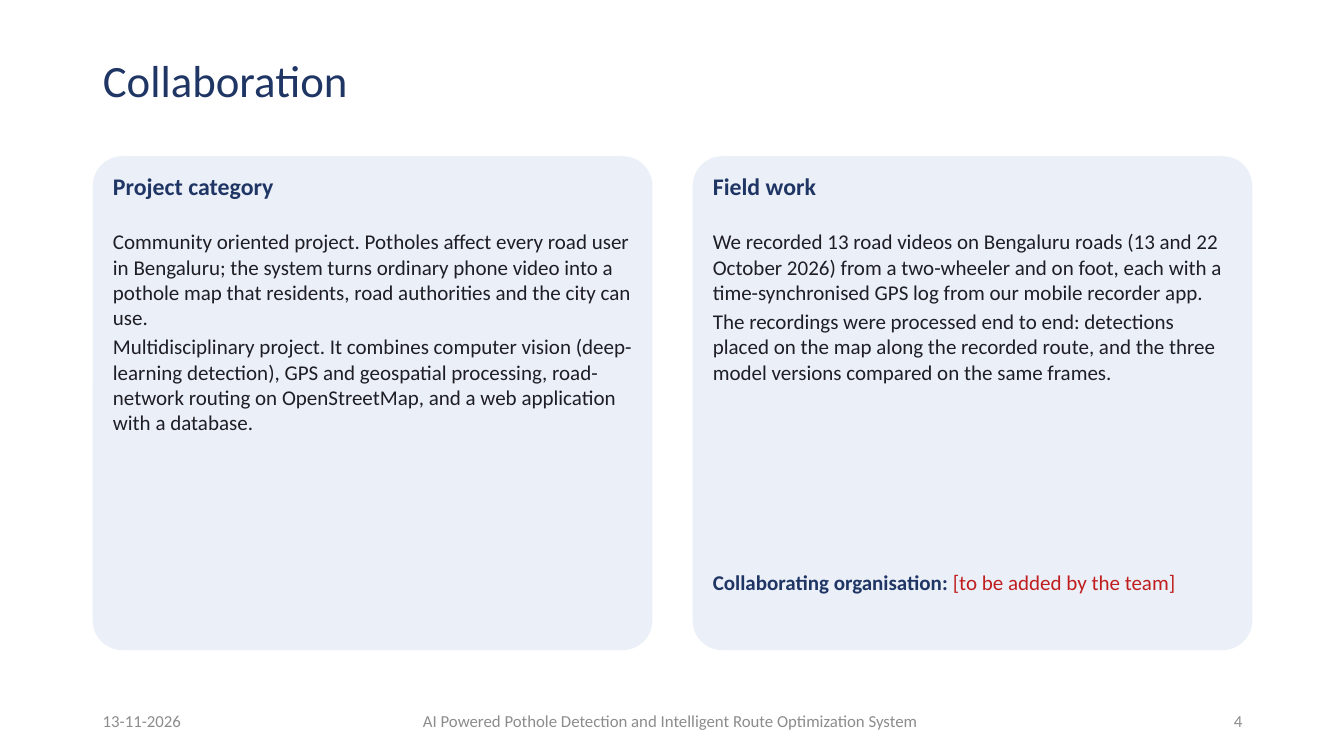
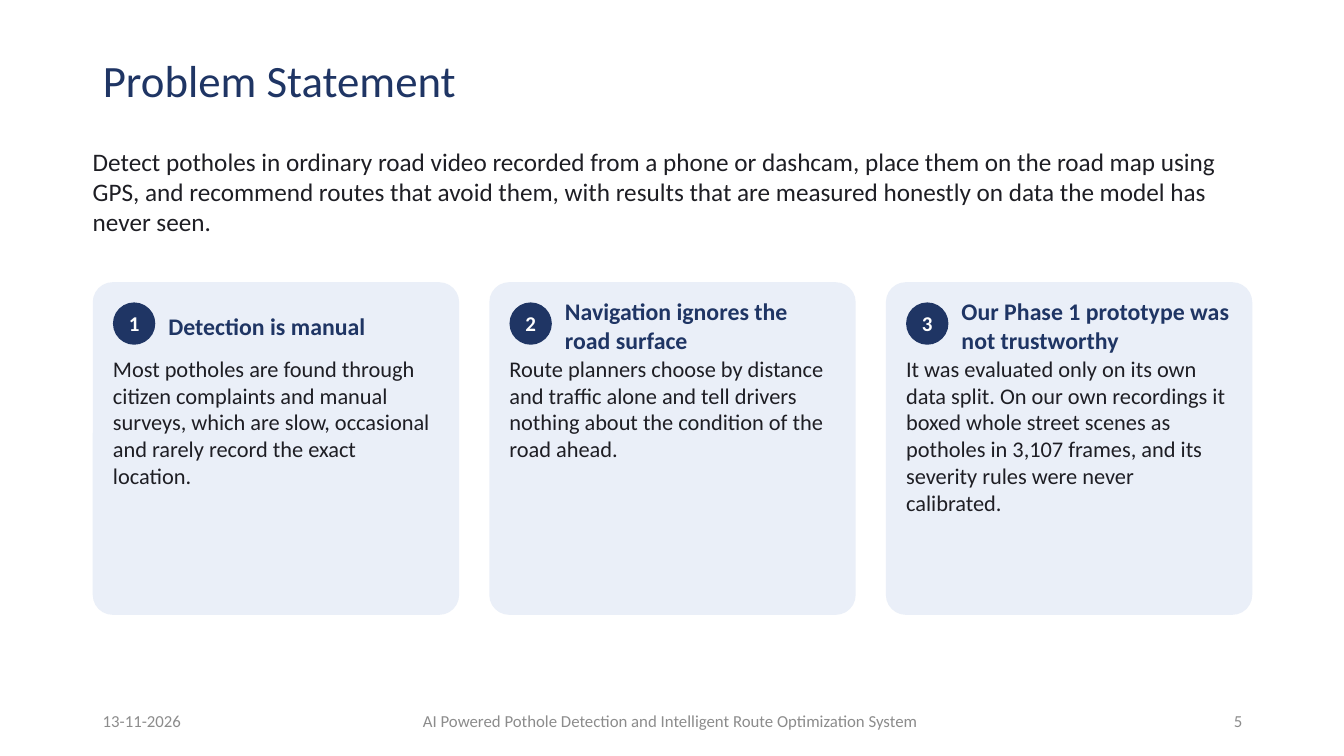
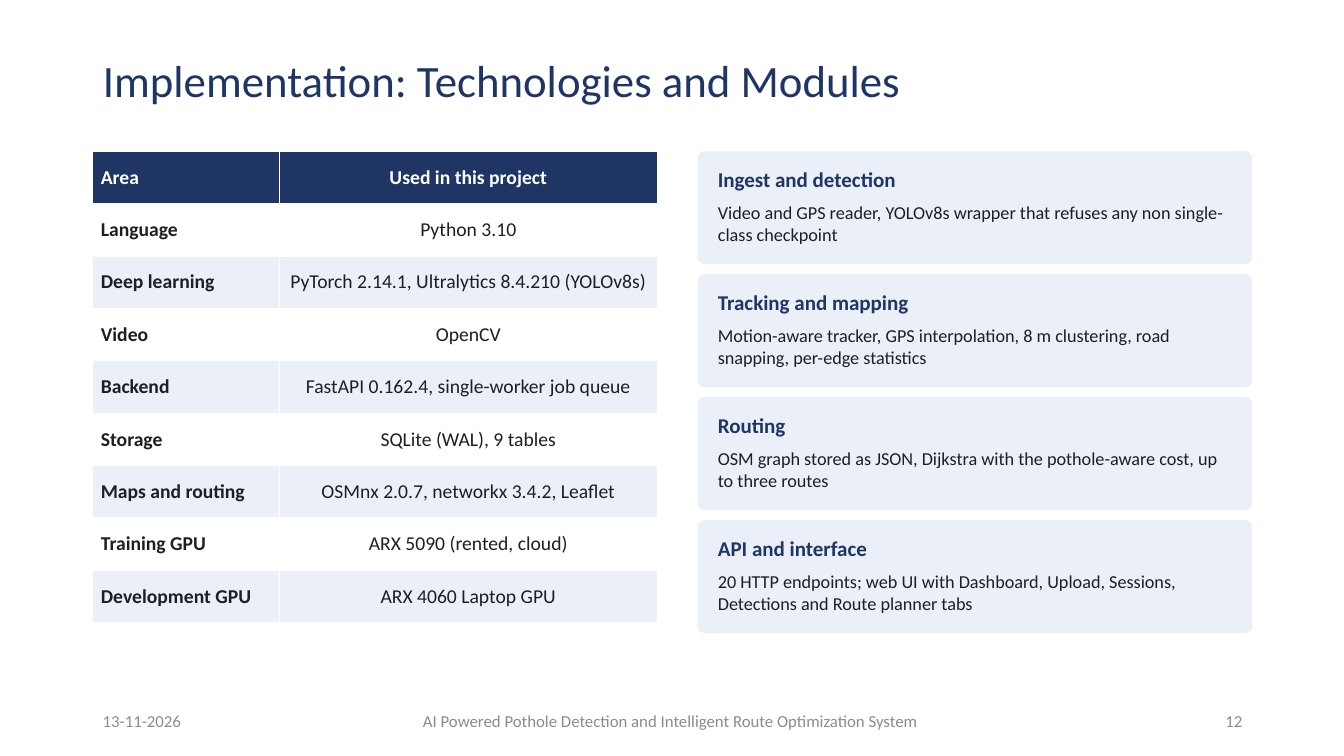
from dataclasses import dataclass
from typing import Optional

from pptx import Presentation
from pptx.dml.color import RGBColor
from pptx.enum.shapes import MSO_SHAPE
from pptx.enum.text import MSO_ANCHOR, MSO_AUTO_SIZE, PP_ALIGN
from pptx.util import Inches, Pt


# Theme: colours, type sizes and page measures
@dataclass(frozen=True)
class Theme:
    font: str = "Calibri"
    navy: str = "1F3564"
    ink: str = "1E1E24"
    grey: str = "8C8C8C"
    pale: str = "EAEFF8"
    white: str = "FFFFFF"
    red: str = "C01E1E"
    title: int = 32
    lead: int = 18
    heading: int = 17
    body: int = 15
    table: int = 14
    small: int = 13
    footer: int = 12
    left: float = 0.92
    width: float = 11.5
    padding: float = 0.2


THEME = Theme()
DATE = "13-11-2026"
PROJECT = "AI Powered Pothole Detection and Intelligent Route Optimization System"


@dataclass(frozen=True)
class Area:
    left: float
    top: float
    width: float
    height: float

    def lengths(self) -> tuple:
        return tuple(Inches(v) for v in (self.left, self.top, self.width, self.height))


@dataclass(frozen=True)
class TextStyle:
    size: int
    color: str = THEME.ink
    bold: bool = False
    align: PP_ALIGN = PP_ALIGN.LEFT
    anchor: MSO_ANCHOR = MSO_ANCHOR.TOP
    after: int = 0


@dataclass(frozen=True)
class Card:
    heading: str
    paragraphs: tuple[str, ...]
    number: Optional[int] = None


@dataclass(frozen=True)
class CardStyle:
    heading_size: int
    body_size: int
    body_offset: float = 0.72


# Content
COLLABORATION_CARDS = (
    Card("Project category", (
        "Community oriented project. Potholes affect every road user in Bengaluru; the system "
        "turns ordinary phone video into a pothole map that residents, road authorities and "
        "the city can use.",
        "Multidisciplinary project. It combines computer vision (deep-learning detection), GPS "
        "and geospatial processing, road-network routing on OpenStreetMap, and a web "
        "application with a database.",
    )),
    Card("Field work", (
        "We recorded 13 road videos on Bengaluru roads (13 and 22 October 2026) from a "
        "two-wheeler and on foot, each with a time-synchronised GPS log from our mobile "
        "recorder app.",
        "The recordings were processed end to end: detections placed on the map along the "
        "recorded route, and the three model versions compared on the same frames.",
    )),
)
PROBLEM = (
    "Detect potholes in ordinary road video recorded from a phone or dashcam, place them on the "
    "road map using GPS, and recommend routes that avoid them, with results that are measured "
    "honestly on data the model has never seen."
)
PROBLEM_CARDS = (
    Card("Detection is manual", (
        "Most potholes are found through citizen complaints and manual surveys, which are slow, "
        "occasional and rarely record the exact location.",), 1),
    Card("Navigation ignores the road surface", (
        "Route planners choose by distance and traffic alone and tell drivers nothing about the "
        "condition of the road ahead.",), 2),
    Card("Our Phase 1 prototype was not trustworthy", (
        "It was evaluated only on its own data split. On our own recordings it boxed whole "
        "street scenes as potholes in 3,107 frames, and its severity rules were never "
        "calibrated.",), 3),
)
TECHNOLOGIES = (
    ("Area", "Used in this project"),
    ("Language", "Python 3.10"),
    ("Deep learning", "PyTorch 2.14.1, Ultralytics 8.4.210 (YOLOv8s)"),
    ("Video", "OpenCV"),
    ("Backend", "FastAPI 0.162.4, single-worker job queue"),
    ("Storage", "SQLite (WAL), 9 tables"),
    ("Maps and routing", "OSMnx 2.0.7, networkx 3.4.2, Leaflet"),
    ("Training GPU", "ARX 5090 (rented, cloud)"),
    ("Development GPU", "ARX 4060 Laptop GPU"),
)
MODULE_CARDS = (
    Card("Ingest and detection", (
        "Video and GPS reader, YOLOv8s wrapper that refuses any non single-class checkpoint",)),
    Card("Tracking and mapping", (
        "Motion-aware tracker, GPS interpolation, 8 m clustering, road snapping, "
        "per-edge statistics",)),
    Card("Routing", (
        "OSM graph stored as JSON, Dijkstra with the pothole-aware cost, up to three routes",)),
    Card("API and interface", (
        "20 HTTP endpoints; web UI with Dashboard, Upload, Sessions, Detections and "
        "Route planner tabs",)),
)


# Text helpers
def format_span(span, style: TextStyle) -> None:
    span.font.name = THEME.font
    span.font.size = Pt(style.size)
    span.font.bold = style.bold
    span.font.color.rgb = RGBColor.from_string(style.color)


def write(frame, text: str, style: TextStyle) -> None:
    frame.text = text
    frame.vertical_anchor = style.anchor
    for para in frame.paragraphs:
        para.alignment = style.align
        para.space_after = Pt(style.after)
        for span in para.runs:
            format_span(span, style)


def clear_margins(frame) -> None:
    frame.margin_left = frame.margin_right = frame.margin_top = frame.margin_bottom = 0


def add_text(page, area: Area, text: str, style: TextStyle, inset: bool = False):
    box = page.shapes.add_textbox(*area.lengths())
    frame = box.text_frame
    frame.word_wrap = True
    if not inset:
        clear_margins(frame)
    write(frame, text, style)
    return frame


# Shapes, cards and tables
def add_filled(page, kind: MSO_SHAPE, area: Area, color: str):
    shape = page.shapes.add_shape(kind, *area.lengths())
    shape.shadow.inherit = False
    shape.fill.solid()
    shape.fill.fore_color.rgb = RGBColor.from_string(color)
    shape.line.fill.background()
    return shape


def add_badge(page, area: Area, number: int) -> None:
    frame = add_filled(page, MSO_SHAPE.OVAL, area, THEME.navy).text_frame
    clear_margins(frame)
    write(frame, str(number),
          TextStyle(THEME.body, THEME.white, True, PP_ALIGN.CENTER, MSO_ANCHOR.MIDDLE))


def add_card(page, area: Area, card: Card, style: CardStyle) -> None:
    panel = add_filled(page, MSO_SHAPE.ROUNDED_RECTANGLE, area, THEME.pale)
    panel.adjustments[0] = 0.06
    left, width = area.left + THEME.padding, area.width - 2 * THEME.padding
    heading, anchor = Area(left, area.top + 0.15, width, 0.45), MSO_ANCHOR.TOP
    if card.number is not None:
        add_badge(page, Area(left, area.top + 0.2, 0.42, 0.42), card.number)
        heading = Area(left + 0.55, area.top + 0.18, width - 0.55, 0.5)
        anchor = MSO_ANCHOR.MIDDLE
    add_text(page, heading, card.heading,
             TextStyle(style.heading_size, THEME.navy, True, anchor=anchor, after=4))
    body = Area(left, area.top + style.body_offset, width,
                area.height - style.body_offset - 0.1)
    add_text(page, body, "\n".join(card.paragraphs), TextStyle(style.body_size, after=3))


def add_card_row(page, cards: tuple[Card, ...], top: float, height: float, gap: float,
                 style: CardStyle) -> None:
    width = (THEME.width - gap * (len(cards) - 1)) / len(cards)
    for index, card in enumerate(cards):
        add_card(page, Area(THEME.left + index * (width + gap), top, width, height), card, style)


def add_technology_table(page, left: float, top: float) -> None:
    widths, row_height = (1.85, 3.75), 0.52
    area = Area(left, top, sum(widths), row_height * len(TECHNOLOGIES))
    table = page.shapes.add_table(len(TECHNOLOGIES), len(widths), *area.lengths()).table
    table.horz_banding = False
    for column, width in zip(table.columns, widths):
        column.width = Inches(width)
    for row, values in enumerate(TECHNOLOGIES):
        header = row == 0
        fill = THEME.navy if header else THEME.white if row % 2 else THEME.pale
        for column, value in enumerate(values):
            cell = table.cell(row, column)
            cell.fill.solid()
            cell.fill.fore_color.rgb = RGBColor.from_string(fill)
            cell.margin_left = cell.margin_right = Inches(0.08)
            cell.margin_top = cell.margin_bottom = Inches(0.03)
            write(cell.text_frame, value, TextStyle(
                THEME.table, THEME.white if header else THEME.ink, header or column == 0,
                PP_ALIGN.CENTER if column else PP_ALIGN.LEFT))
            cell.vertical_anchor = MSO_ANCHOR.MIDDLE


# Shared page: title and footer
def add_page(deck, title: str, number: int):
    page = deck.slides.add_slide(deck.slide_layouts[5])
    heading = page.shapes.title
    heading.left, heading.top, heading.width, heading.height = (
        Area(THEME.left, 0.4, 10.9, 0.85).lengths())
    frame = heading.text_frame
    write(frame, title, TextStyle(THEME.title, THEME.navy, anchor=MSO_ANCHOR.MIDDLE))
    frame.auto_size = MSO_AUTO_SIZE.NONE
    frame.paragraphs[0].line_spacing = 0.9
    footers = (
        (3.6, 6.1, PROJECT, PP_ALIGN.CENTER),
        (9.42, 3, str(number), PP_ALIGN.RIGHT),
        (THEME.left, 3, DATE, PP_ALIGN.LEFT),
    )
    for left, width, text, align in footers:
        add_text(page, Area(left, 6.95, width, 0.4), text,
                 TextStyle(THEME.footer, THEME.grey, align=align, anchor=MSO_ANCHOR.MIDDLE),
                 inset=True)
    return page


# Slides
def build_collaboration(deck) -> None:
    page = add_page(deck, "Collaboration", 4)
    add_card_row(page, COLLABORATION_CARDS, 1.55, 4.9, 0.4,
                 CardStyle(THEME.heading, THEME.body))
    frame = add_text(page, Area(7.07, 5.65, 5.2, 0.5), "Collaborating organisation: ",
                     TextStyle(THEME.body, THEME.navy, True, after=4))
    span = frame.paragraphs[0].add_run()
    span.text = "[to be added by the team]"
    format_span(span, TextStyle(THEME.body, THEME.red))


def build_problem(deck) -> None:
    page = add_page(deck, "Problem Statement", 5)
    add_text(page, Area(THEME.left, 1.45, THEME.width, 1), PROBLEM,
             TextStyle(THEME.lead, after=4))
    add_card_row(page, PROBLEM_CARDS, 2.8, 3.3, 0.3, CardStyle(THEME.heading, 16))


def build_implementation(deck) -> None:
    page = add_page(deck, "Implementation: Technologies and Modules", 12)
    top, height, gap = 1.5, 1.12, 0.1
    add_technology_table(page, THEME.left, top)
    for index, card in enumerate(MODULE_CARDS):
        add_card(page, Area(6.92, top + index * (height + gap), 5.5, height), card,
                 CardStyle(THEME.body, THEME.small, 0.5))


def main() -> None:
    deck = Presentation()
    deck.slide_width, deck.slide_height = Inches(13.33), Inches(7.5)
    build_collaboration(deck)
    build_problem(deck)
    build_implementation(deck)
    deck.save("out.pptx")


if __name__ == "__main__":
    main()
